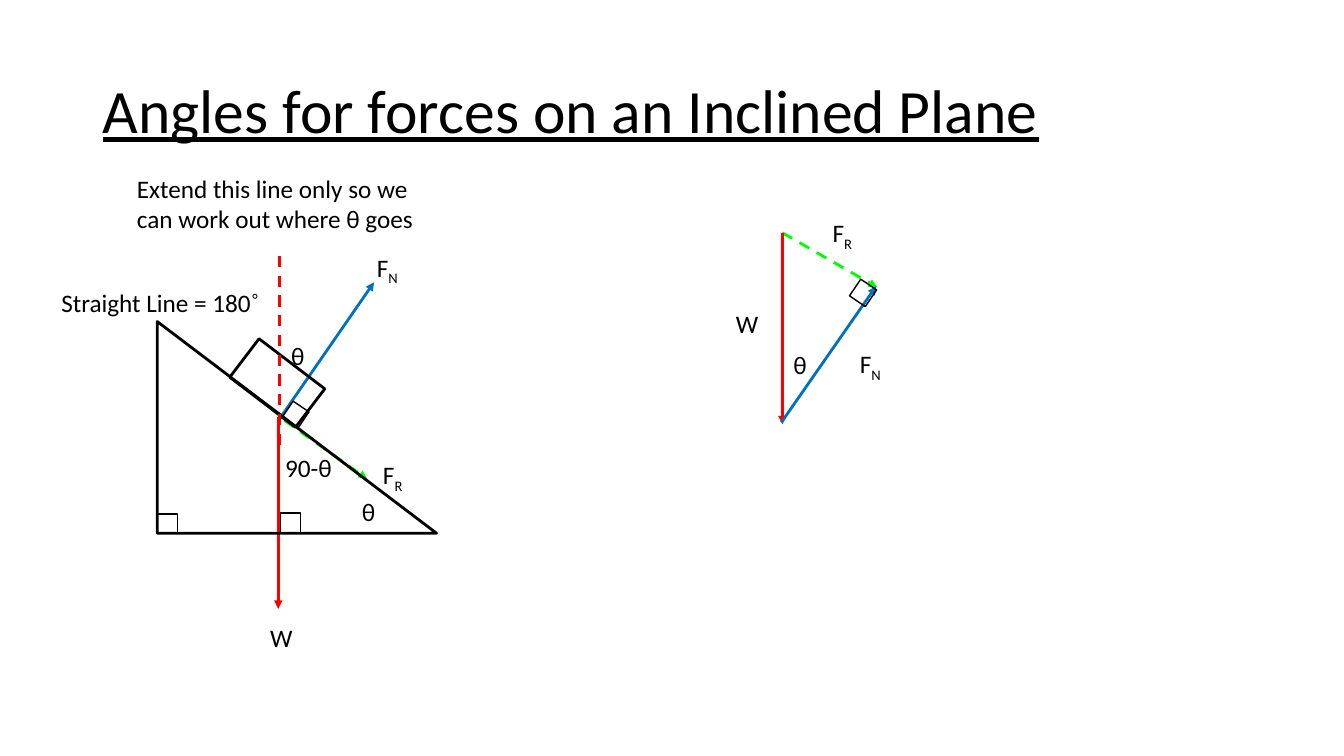
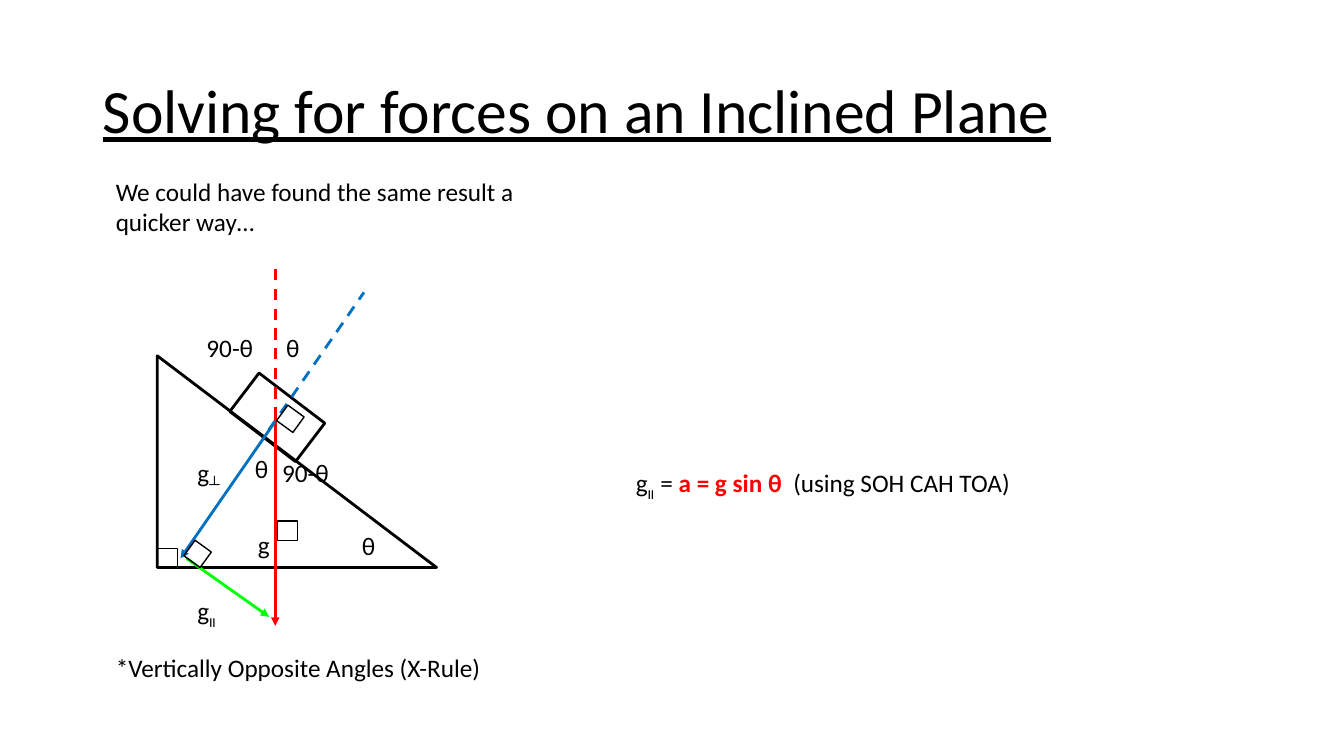
from lxml import etree
from pptx import Presentation, util as u
from pptx.dml.color import RGBColor
from pptx.enum import dml, shapes, text
from pptx.oxml.ns import qn

COLOURS = {"ink": "000000", "weight": "FF0000", "normal": "0070C0", "friction": "00FF00"}
FONT, SYMBOL_FONT = "Calibri", "Times New Roman"
LINE_HEIGHT, TWO_LINES = 0.4, 0.71
LETTER, FORCE, ANGLE = 0.39, 0.54, 0.73

F_NORMAL = [("F", ""), ("N", "sub")]
F_FRICTION = [("F", ""), ("R", "sub")]
G_ALONG = [("g", ""), ("װ", "sub")]
G_ACROSS = [("g", ""), ("┴", "sub symbol")]
WEIGHT = [("W", "")]
THETA = [("θ", "")]
COMPLEMENT = [("90-θ", "")]

SLIDES = [
    {
        "title": "Angles for forces on an Inclined Plane",
        "wedge_top": 3.19,
        "lines_below": [
            ("friction", (7.76, 2.31), (8.7, 2.85), "dash arrow"),
            ("weight", (2.76, 4.14), (2.76, 6.04), "arrow"),
            ("normal", (2.77, 4.16), (3.71, 2.8), "arrow"),
            ("friction", (2.82, 4.17), (3.64, 4.75), "dash arrow"),
        ],
        "lines_above": [
            ("weight", (7.76, 2.31), (7.76, 4.21), "arrow"),
            ("normal", (7.75, 4.19), (8.69, 2.84), "arrow"),
            ("weight", (2.77, 2.54), (2.77, 4.44), "dash"),
        ],
        "right_angles": [(8.46, 2.81, 304.2), (2.83, 4.02, 304.2), (2.78, 5.09, 0)],
        "labels": [
            (3.64, 2.45, FORCE, LINE_HEIGHT, F_NORMAL),
            (2.58, 6.12, FORCE, LINE_HEIGHT, WEIGHT),
            (3.7, 4.51, FORCE, LINE_HEIGHT, F_FRICTION),
            (7.2, 3.01, FORCE, LINE_HEIGHT, WEIGHT),
            (8.43, 3.41, FORCE, LINE_HEIGHT, F_NORMAL),
            (8.16, 2.11, FORCE, LINE_HEIGHT, F_FRICTION),
            (2.73, 4.44, ANGLE, LINE_HEIGHT, COMPLEMENT),
            (2.79, 3.33, LETTER, LINE_HEIGHT, THETA),
            (7.77, 3.42, LETTER, LINE_HEIGHT, THETA),
            (0.51, 2.8, 2.3, LINE_HEIGHT, [("Straight Line = 180", ""), ("˚", "symbol")]),
            (1.26, 1.67, 3.01, TWO_LINES,
             [("Extend this line only so we can work out where θ goes", "")]),
        ],
    },
    {
        "title": "Solving for forces on an Inclined Plane",
        "wedge_top": 3.53,
        "lines_below": [],
        "lines_above": [
            ("weight", (2.73, 2.67), (2.73, 4.74), "dash"),
            ("normal", (2.67, 4.26), (3.61, 2.9), "dash"),
            ("weight", (2.73, 4.14), (2.73, 6.21), "arrow"),
            ("normal", (2.73, 4.18), (1.79, 5.54), "arrow"),
            ("friction", (1.85, 5.54), (2.67, 6.12), "arrow"),
        ],
        "right_angles": [(2.75, 5.17, 0), (2.78, 4.06, 36), (1.86, 5.4, 36)],
        "labels": [
            (1.05, 1.7, 4.27, TWO_LINES,
             [("We could have found the same result a quicker way…", "")]),
            (2.7, 4.49, ANGLE, LINE_HEIGHT, COMPLEMENT),
            (2.74, 3.25, LETTER, LINE_HEIGHT, THETA),
            (1.95, 3.25, ANGLE, LINE_HEIGHT, COMPLEMENT),
            (1.05, 6.42, 4.27, LINE_HEIGHT, [("*Vertically Opposite Angles (X-Rule)", "")]),
            (1.86, 4.49, FORCE, LINE_HEIGHT, G_ACROSS),
            (2.46, 5.2, FORCE, LINE_HEIGHT, [("g", "")]),
            (1.86, 5.86, FORCE, LINE_HEIGHT, G_ALONG),
            (2.43, 4.45, LETTER, LINE_HEIGHT, THETA),
            (6.21, 4.59, 4.27, LINE_HEIGHT,
             G_ALONG + [(" = ", ""), ("a = g sin θ ", "answer"), (" (using SOH CAH TOA)", "")]),
        ],
    },
]


def colour(name):
    return RGBColor.from_string(COLOURS[name])


def place(part, left, top, width, height):
    part.left, part.top = u.Inches(left), u.Inches(top)
    part.width, part.height = u.Inches(width), u.Inches(height)


def format_font(font, size, name=FONT, ink="ink"):
    font.size, font.name = u.Pt(size), name
    font.color.rgb = colour(ink)


def add_title(slide, wording):
    title = slide.shapes.title
    place(title, 0.92, 0.4, 11.5, 1.45)
    frame = title.text_frame
    frame.text = wording
    frame.auto_size = text.MSO_AUTO_SIZE.NONE
    frame.vertical_anchor = text.MSO_ANCHOR.MIDDLE
    heading = frame.paragraphs[0]
    heading.alignment = text.PP_ALIGN.LEFT
    heading.line_spacing = 0.9
    format_font(heading.runs[0].font, 44)
    heading.runs[0].font.underline = True


def add_label(slide, left, top, width, height, pieces):
    label = slide.shapes.add_textbox(*map(u.Inches, (left, top, width, height)))
    frame = label.text_frame
    frame.word_wrap = True
    frame.auto_size = text.MSO_AUTO_SIZE.SHAPE_TO_FIT_TEXT
    for wording, style in pieces:
        run = frame.paragraphs[0].add_run()
        run.text = wording
        answer = "answer" in style
        format_font(run.font, 18, SYMBOL_FONT if "symbol" in style else FONT,
                    "weight" if answer else "ink")
        run.font.bold = answer
        if "sub" in style:
            run.font._element.set("baseline", "-25000")


def add_line(slide, ink, start, end, style):
    force = slide.shapes.add_connector(
        shapes.MSO_CONNECTOR.STRAIGHT, *map(u.Inches, start + end))
    force.line.color.rgb = colour(ink)
    force.line.width = u.Pt(2)
    if "dash" in style:
        force.line.dash_style = dml.MSO_LINE.DASH
    if "arrow" in style:
        etree.SubElement(force.line._get_or_add_ln(), qn("a:tailEnd"), type="triangle")
    etree.SubElement(force._element.spPr, qn("a:effectLst"))


def add_outline(slide, kind, left, top, width, height, weight, angle=0):
    outline = slide.shapes.add_shape(kind, *map(u.Inches, (left, top, width, height)))
    outline.rotation = angle
    outline.shadow.inherit = False
    outline.fill.background()
    outline.line.color.rgb = colour("ink")
    outline.line.width = u.Pt(weight)


def add_right_angle(slide, left, top, angle):
    add_outline(slide, shapes.MSO_SHAPE.RECTANGLE, left, top, 0.2, 0.19, 1, angle)


def add_incline(slide, top):
    add_outline(slide, shapes.MSO_SHAPE.RIGHT_TRIANGLE, 1.56, top, 2.77, 2.1, 2)
    add_outline(slide, shapes.MSO_SHAPE.RECTANGLE, 2.34, top + 0.37, 0.82, 0.48, 2, 37.3)
    add_right_angle(slide, 1.56, top + 1.91, 0)
    add_label(slide, 3.49, top + 1.68, LETTER, LINE_HEIGHT, THETA)


def main():
    deck = Presentation()
    deck.slide_width, deck.slide_height = u.Inches(13.33), u.Inches(7.5)
    for content in SLIDES:
        slide = deck.slides.add_slide(deck.slide_layouts[5])
        add_title(slide, content["title"])
        for line in content["lines_below"]:
            add_line(slide, *line)
        add_incline(slide, content["wedge_top"])
        for line in content["lines_above"]:
            add_line(slide, *line)
        for corner in content["right_angles"]:
            add_right_angle(slide, *corner)
        for label in content["labels"]:
            add_label(slide, *label)
    deck.save("out.pptx")


if __name__ == "__main__":
    main()
